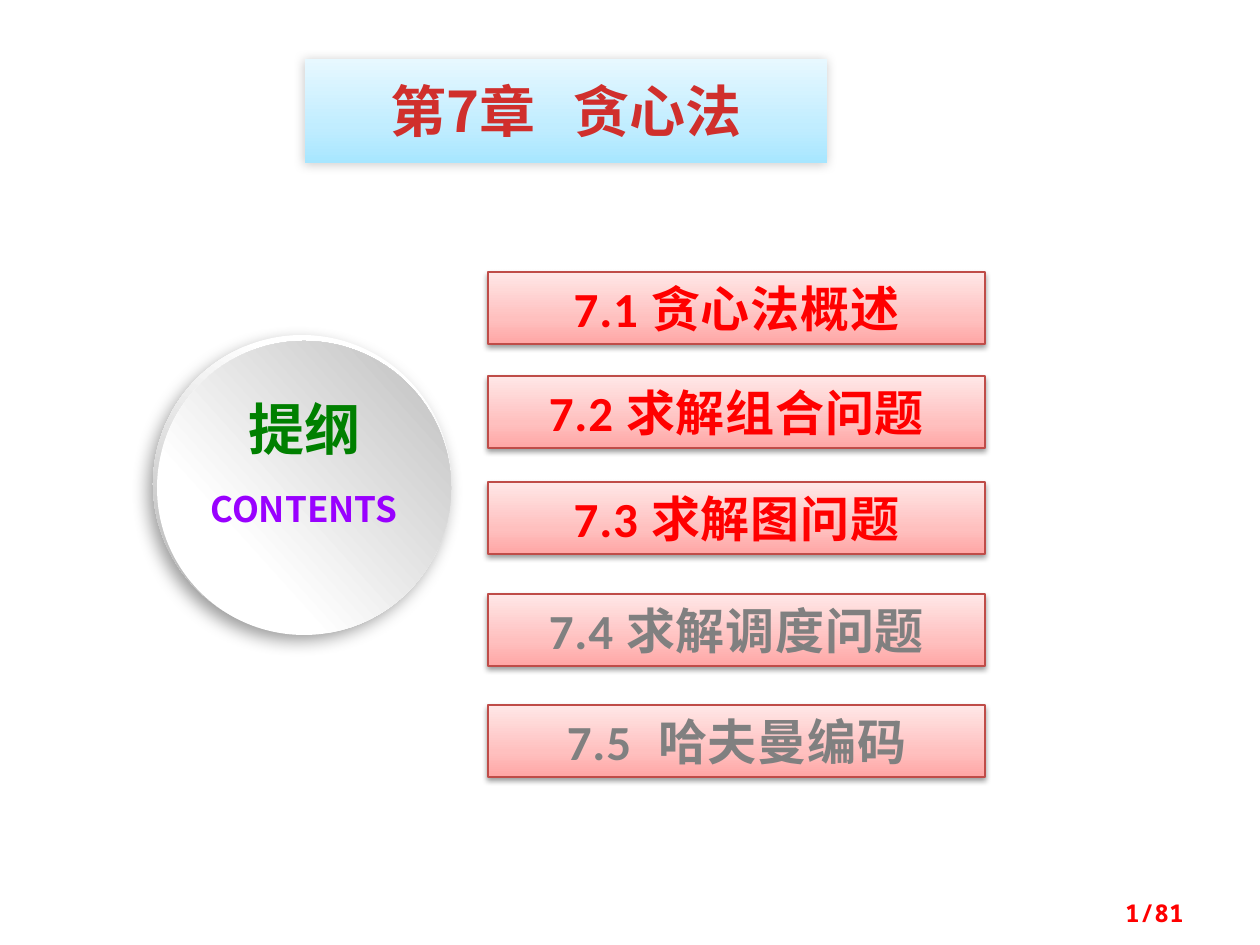
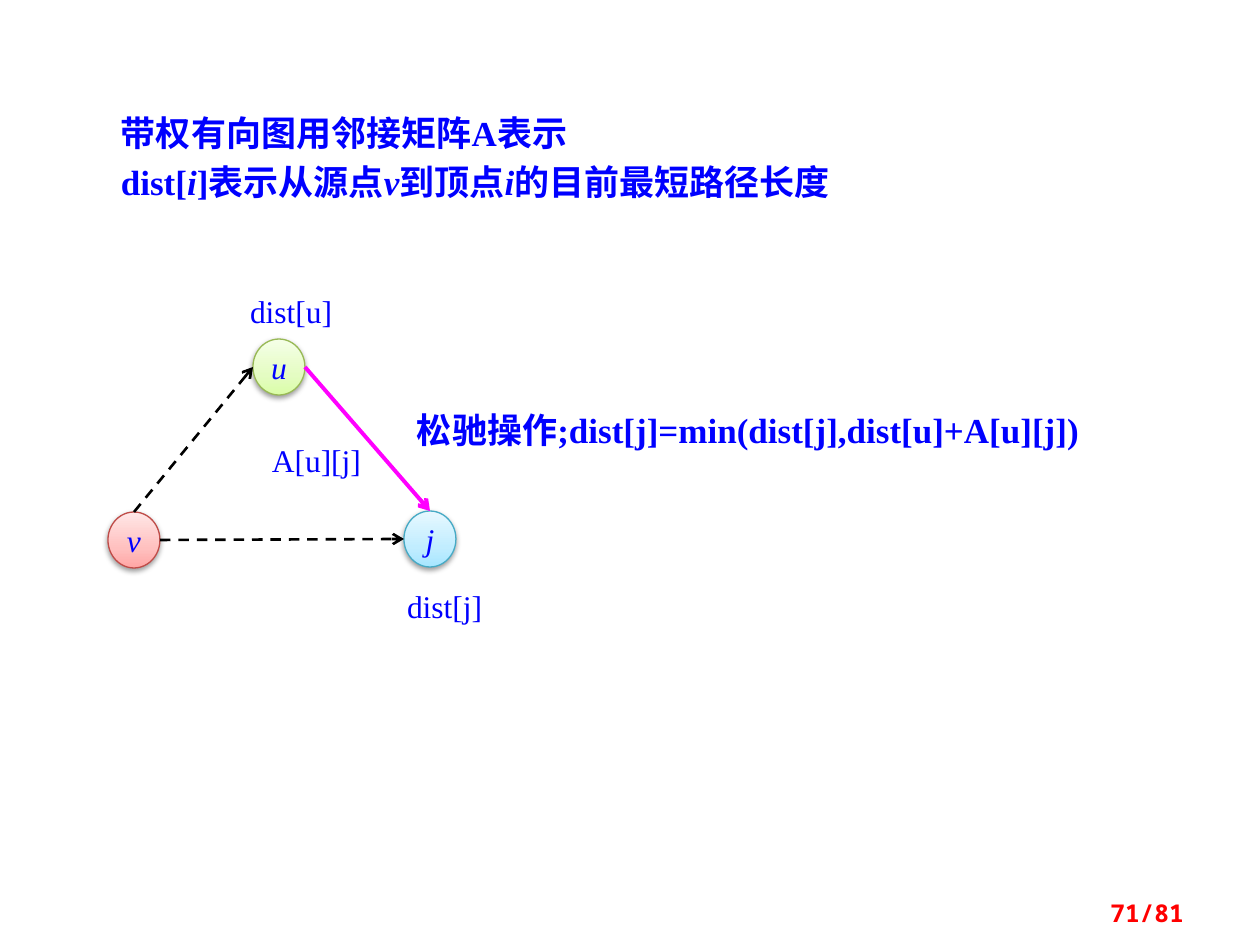
from lxml.etree import SubElement
from pptx import Presentation
from pptx.dml.color import RGBColor
from pptx.enum.dml import MSO_LINE
from pptx.enum.shapes import MSO_CONNECTOR, MSO_SHAPE
from pptx.enum.text import MSO_ANCHOR, PP_ALIGN
from pptx.oxml.ns import qn
from pptx.util import Pt

PX = 914400 / 126
COLORS = {
    "title": "D02F2C", "red": "FF0000", "gray": "808080", "green": "008000",
    "violet": "9900FF", "blue": "0000FF", "black": "000000", "magenta": "FF00FF",
    "red_line": "BF4C48", "cyan_line": "46AAC5", "lime_line": "98B955",
}
GRADIENTS = {
    "red": [(0, "FFA6A5"), (35, "FFC0BF"), (100, "FFE7E7")],
    "cyan": [(0, "A7E6FF"), (35, "C1EDFF"), (100, "E7F8FF")],
    "lime": [(0, "DAFDA7"), (35, "E4FCC2"), (100, "F5FFE7")],
    "rim": [(17, "FFFFFF"), (88, "B8B8B8")],
    "disc": [(29, "FFFFFF"), (98, "BFBFBF")],
}
SANS, SERIF, MONO, LATIN = "Noto Sans CJK SC", "Times New Roman", "Noto Sans Mono", "Calibri"
SOFT_SHADOW = (38, 3.1, 1.6, 90)


def add_shape(page, kind, area, gradient, angle=270, line=None, shadow=None):
    shape = page.shapes.add_shape(kind, *[round(length * PX) for length in area])
    shape.shadow.inherit = False
    shape.fill.gradient()
    shape.fill.gradient_angle = (360 - angle) % 360
    stops = shape._element.spPr.find(qn("a:gradFill")).find(qn("a:gsLst"))
    for stop in list(stops):
        stops.remove(stop)
    for position, color in GRADIENTS[gradient]:
        stop = SubElement(stops, qn("a:gs"), pos=str(position * 1000))
        SubElement(stop, qn("a:srgbClr"), val=color)
    if line:
        shape.line.color.rgb = RGBColor.from_string(COLORS[line])
        shape.line.width = Pt(0.75)
    else:
        shape.line.fill.background()
    if shadow:
        alpha, blur, distance, direction = shadow
        effects = shape._element.spPr.find(qn("a:effectLst"))
        outer = SubElement(effects, qn("a:outerShdw"), blurRad=str(Pt(blur)), dist=str(Pt(distance)),
                           dir=str(direction * 60000), rotWithShape="0")
        color = SubElement(outer, qn("a:srgbClr"), val=COLORS["black"])
        SubElement(color, qn("a:alpha"), val=str(alpha * 1000))
    return shape


def write(page, text, area=None, shape=None, size=18, font=SERIF, color="blue", bold=False,
          italic=False, align=PP_ALIGN.LEFT, anchor=MSO_ANCHOR.TOP, insets=(13, 6, 13, 6),
          spacing=0, gap=None, leading=None):
    box = shape or page.shapes.add_textbox(*[round(length * PX) for length in area])
    frame = box.text_frame
    frame.word_wrap = True
    frame.vertical_anchor = anchor
    frame.margin_left, frame.margin_top, frame.margin_right, frame.margin_bottom = [
        round(inset * PX) for inset in insets]
    for number, line in enumerate(text.split("\n")):
        para = frame.paragraphs[0] if number == 0 else frame.add_paragraph()
        para.alignment = align
        if leading:
            para.line_spacing = Pt(leading)
        for index, piece in enumerate(line.split("*")):
            before, space, after = piece.partition(" ")
            for part in filter(None, (before, space, after)):
                span = para.add_run()
                span.text = part
                span.font.size = Pt(size)
                span.font.bold = bold
                span.font.italic = italic or index % 2 == 1
                span.font.color.rgb = RGBColor.from_string(COLORS[color])
                span.font.name = font
                properties = span.font._element
                tracking = gap if part == " " and gap else spacing
                properties.set("spc", str(round(tracking * 100)))
                SubElement(properties, qn("a:ea"), typeface=SANS)
    return box


deck = Presentation()
deck.slide_width, deck.slide_height = round(1260 * PX), round(945 * PX)
outline, relaxation = [deck.slides.add_slide(deck.slide_layouts[6]) for _ in range(2)]

banner = add_shape(outline, MSO_SHAPE.RECTANGLE, (305, 59, 522, 104), "cyan", shadow=(20, 6, 1, 135))
write(outline, "第7章 贪心法", shape=banner, size=32, font=SANS, color="title", bold=True,
      align=PP_ALIGN.CENTER, insets=(13, 18, 13, 6), gap=14)

sections = [
    ("7.1 贪心法概述", 272, "red", None),
    ("7.2 求解组合问题", 376, "red", None),
    ("7.3 求解图问题", 482, "red", None),
    ("7.4 求解调度问题", 594, "gray", None),
    ("7.5 哈夫曼编码", 705, "gray", 8.5),
]
for heading, top, color, gap in sections:
    bar = add_shape(outline, MSO_SHAPE.RECTANGLE, (488, top, 497, 72), "red",
                    line="red_line", shadow=SOFT_SHADOW)
    write(outline, heading, shape=bar, size=28, font=LATIN, color=color, bold=True,
          align=PP_ALIGN.CENTER, anchor=MSO_ANCHOR.MIDDLE, insets=(13, 0, 13, 0), spacing=0.5, gap=gap)

add_shape(outline, MSO_SHAPE.OVAL, (153, 335, 298, 298), "rim", angle=107, shadow=(39, 10, 5, 123))
add_shape(outline, MSO_SHAPE.OVAL, (157, 341, 294, 294), "disc", angle=318)
for label, area, size, color in [("提纲", (208, 388, 194, 81), 32, "green"),
                                 ("CONTENTS", (188, 481, 232, 55), 20, "violet")]:
    write(outline, label, area, size=size, font=SANS, color=color, bold=True, align=PP_ALIGN.CENTER)

nodes = [("v", 108, 512, "red"), ("j", 404, 511, "cyan"), ("u", 253, 339, "lime")]
for name, left, top, tint in nodes:
    node = add_shape(relaxation, MSO_SHAPE.OVAL, (left, top, 52, 56), tint,
                     line=f"{tint}_line", shadow=SOFT_SHADOW)
    write(relaxation, name, shape=node, italic=True, align=PP_ALIGN.CENTER,
          anchor=MSO_ANCHOR.MIDDLE, insets=(0, 0, 0, 0))

edges = [
    ((134, 512, 253, 367), "black", 1.5, MSO_LINE.DASH),
    ((160, 540, 404, 539), "black", 1.5, MSO_LINE.DASH),
    ((305, 367, 430, 511), "magenta", 2.25, MSO_LINE.SOLID),
]
for ends, color, width, dash in edges:
    edge = relaxation.shapes.add_connector(MSO_CONNECTOR.STRAIGHT, *[round(end * PX) for end in ends])
    edge.line.color.rgb = RGBColor.from_string(COLORS[color])
    edge.line.width = Pt(width)
    edge.line.dash_style = dash
    SubElement(edge.line._get_or_add_ln(), qn("a:tailEnd"), type="arrow")
    SubElement(edge._element.spPr, qn("a:effectLst"))

write(relaxation, "A[u][j]", (266, 441, 101, 40), align=PP_ALIGN.CENTER, insets=(0, 0, 0, 0))
write(relaxation, "dist[u]", (237, 286, 118, 50))
write(relaxation, "dist[j]", (394, 581, 118, 50))
write(relaxation, "松驰操作;dist[j]=min(dist[j],dist[u]+A[u][j])", (404, 402, 689, 55), size=20, bold=True)
write(relaxation, "带权有向图用邻接矩阵A表示\ndist[*i*]表示从源点*v*到顶点*i*的目前最短路径长度",
      (108, 98, 816, 107), size=20, bold=True, leading=28)

for page, number in [(outline, 1), (relaxation, 71)]:
    write(page, f"{number}/81", (903, 888, 294, 50), size=14, font=MONO, color="red", bold=True,
          align=PP_ALIGN.RIGHT, anchor=MSO_ANCHOR.MIDDLE)

deck.save("out.pptx")
